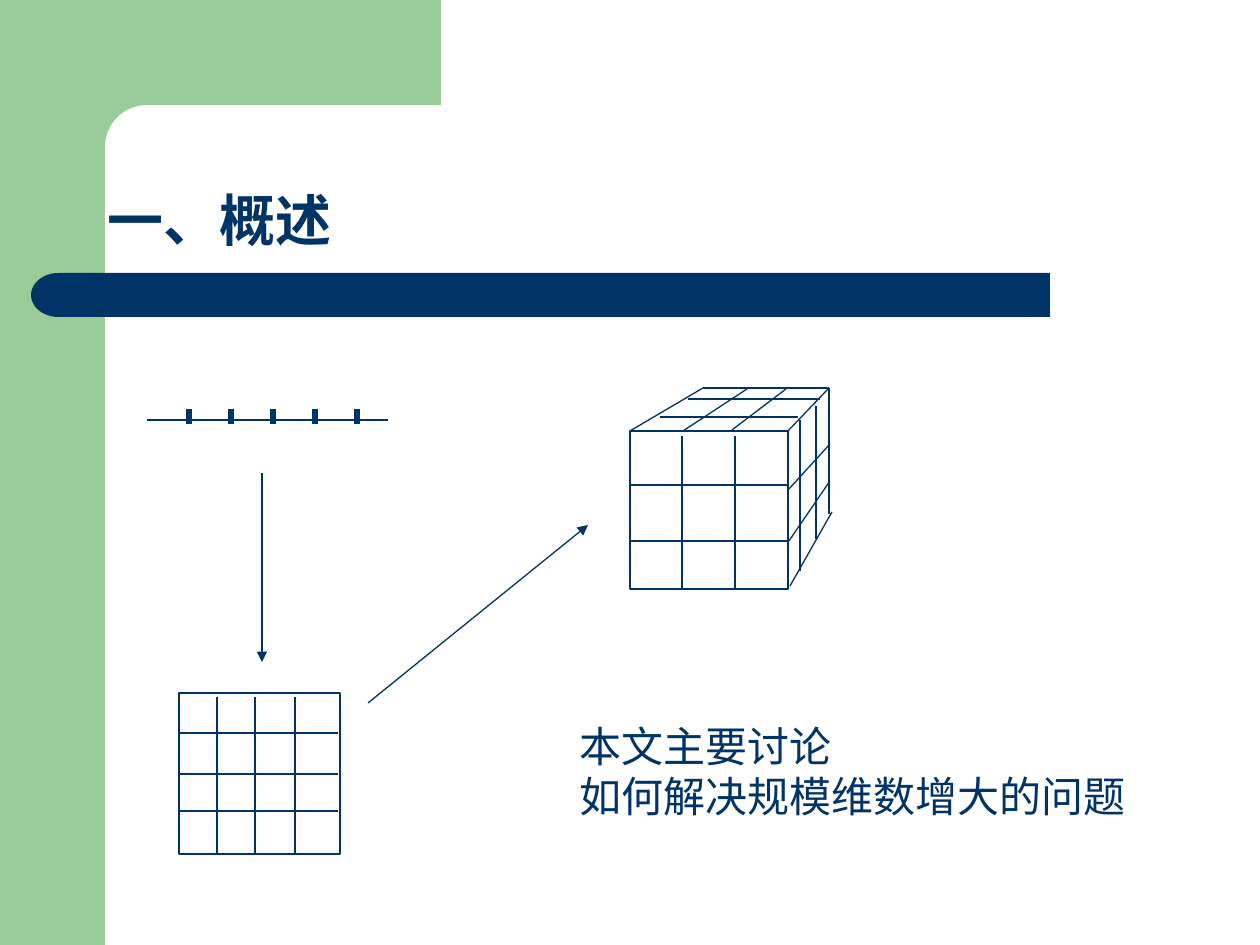
import pptx
import pptx.util
import pptx.dml.color
import pptx.enum.shapes
import pptx.enum.text
import pptx.oxml
import pptx.oxml.ns

NAVY = pptx.dml.color.RGBColor(0x00, 0x33, 0x66)
GREEN = pptx.dml.color.RGBColor(0x99, 0xCC, 0x99)
WHITE = pptx.dml.color.RGBColor(0xFF, 0xFF, 0xFF)
FONT = "Times New Roman"
PX = 914400 // 126
SHAPE = pptx.enum.shapes.MSO_SHAPE

TITLE = "一、概述"
NOTE = "本文主要讨论\v如何解决规模维数增大的问题"

AXIS = (147, 420, 388, 420)
TICK_XS = range(189, 358, 42)
TICK_TOP, TICK_BOTTOM = 409, 424

SQUARE = (179, 693, 161, 161)
SQUARE_ROWS = (733, 774, 811)
SQUARE_COLUMNS = (217, 255, 295)

CUBE_FRONT = (630, 431, 158, 158)
CUBE_ROWS = (485, 541)
CUBE_COLUMNS = (682, 735)
CUBE_TOP = [
    (630, 431, 703, 388), (703, 388, 829, 388), (788, 431, 829, 388),
    (683, 431, 747, 389), (732, 430, 786, 389),
    (688, 399, 820, 399), (660, 417, 798, 417),
]
CUBE_SIDE = [
    (829, 388, 829, 514), (790, 586, 832, 512),
    (789, 489, 830, 444), (789, 541, 830, 481),
    (800, 420, 800, 571), (816, 406, 816, 539),
]

ARROWS = [(262, 473, 262, 662), (368, 703, 588, 525)]


def px(*lengths):
    return [n * PX for n in lengths]


def add_block(shapes, kind, box, fill=None, line=None):
    sp = shapes.add_shape(kind, *px(*box))
    sp.shadow.inherit = False
    if fill is None:
        sp.fill.background()
    else:
        sp.fill.solid()
        sp.fill.fore_color.rgb = fill
    if line is None:
        sp.line.fill.background()
    else:
        sp.line.color.rgb = line
        sp.line.width = pptx.util.Pt(0.75)
    return sp


def add_line(shapes, ends, width=0.75, arrow=False):
    straight = pptx.enum.shapes.MSO_CONNECTOR.STRAIGHT
    cxn = shapes.add_connector(straight, *px(*ends))
    cxn.line.color.rgb = NAVY
    cxn.line.width = pptx.util.Pt(width)
    if arrow:
        tail = pptx.oxml.parse_xml(
            "<a:tailEnd %s type='triangle'/>" % pptx.oxml.ns.nsdecls("a"))
        cxn.line._get_or_add_ln().append(tail)
    cxn._element.spPr.append(pptx.oxml.parse_xml(
        "<a:effectLst %s/>" % pptx.oxml.ns.nsdecls("a")))
    return cxn


def set_text(sp, text, box, size, bold=False, before=0):
    sp.left, sp.top, sp.width, sp.height = px(*box)
    tf = sp.text_frame
    tf.text = text
    tf.word_wrap = True
    tf.vertical_anchor = pptx.enum.text.MSO_ANCHOR.TOP
    p = tf.paragraphs[0]
    p.alignment = pptx.enum.text.PP_ALIGN.LEFT
    p.space_before = pptx.util.Pt(before)
    for r in p.runs:
        r.font.name = FONT
        r.font.size = pptx.util.Pt(size)
        r.font.bold = bold
        r.font.color.rgb = NAVY


def add_grid(shapes, box, rows, columns, gap, row_end):
    x, y, w, h = box
    add_block(shapes, SHAPE.RECTANGLE, box, line=NAVY)
    for row in rows:
        add_line(shapes, (x, row, row_end, row))
    for column in columns:
        add_line(shapes, (column, y + gap, column, y + h))


prs = pptx.Presentation()
prs.slide_width, prs.slide_height = px(1260, 945)
slide = prs.slides.add_slide(prs.slide_layouts[5])
shapes = slide.shapes

add_block(shapes, SHAPE.RECTANGLE, (0, 0, 105, 945), GREEN)
add_block(shapes, SHAPE.RECTANGLE, (95, 0, 346, 147), GREEN)
panel = add_block(shapes, SHAPE.ROUNDED_RECTANGLE, (105, 105, 703, 84), WHITE)
panel.adjustments[0] = 0.5
add_block(shapes, SHAPE.RECTANGLE, (84, 273, 966, 44), NAVY)
cap = add_block(shapes, SHAPE.FLOWCHART_DELAY, (31, 273, 55, 44), NAVY)
cap.rotation = 180

set_text(shapes.title, TITLE, (95, 179, 357, 81), 32, bold=True, before=20)
set_text(shapes.add_textbox(0, 0, 0, 0), NOTE, (567, 714, 620, 113), 24, before=15)

ruler = shapes.add_group_shape().shapes
add_line(ruler, AXIS)
for x in TICK_XS:
    add_line(ruler, (x, TICK_TOP, x, TICK_BOTTOM), width=3.25)

square = shapes.add_group_shape().shapes
add_grid(square, SQUARE, SQUARE_ROWS, SQUARE_COLUMNS, 4, 338)

cube = shapes.add_group_shape().shapes
add_grid(cube, CUBE_FRONT, CUBE_ROWS, CUBE_COLUMNS, 5, 788)
for ends in CUBE_TOP + CUBE_SIDE:
    add_line(cube, ends)

for ends in ARROWS:
    add_line(shapes, ends, arrow=True)

prs.save("out.pptx")
